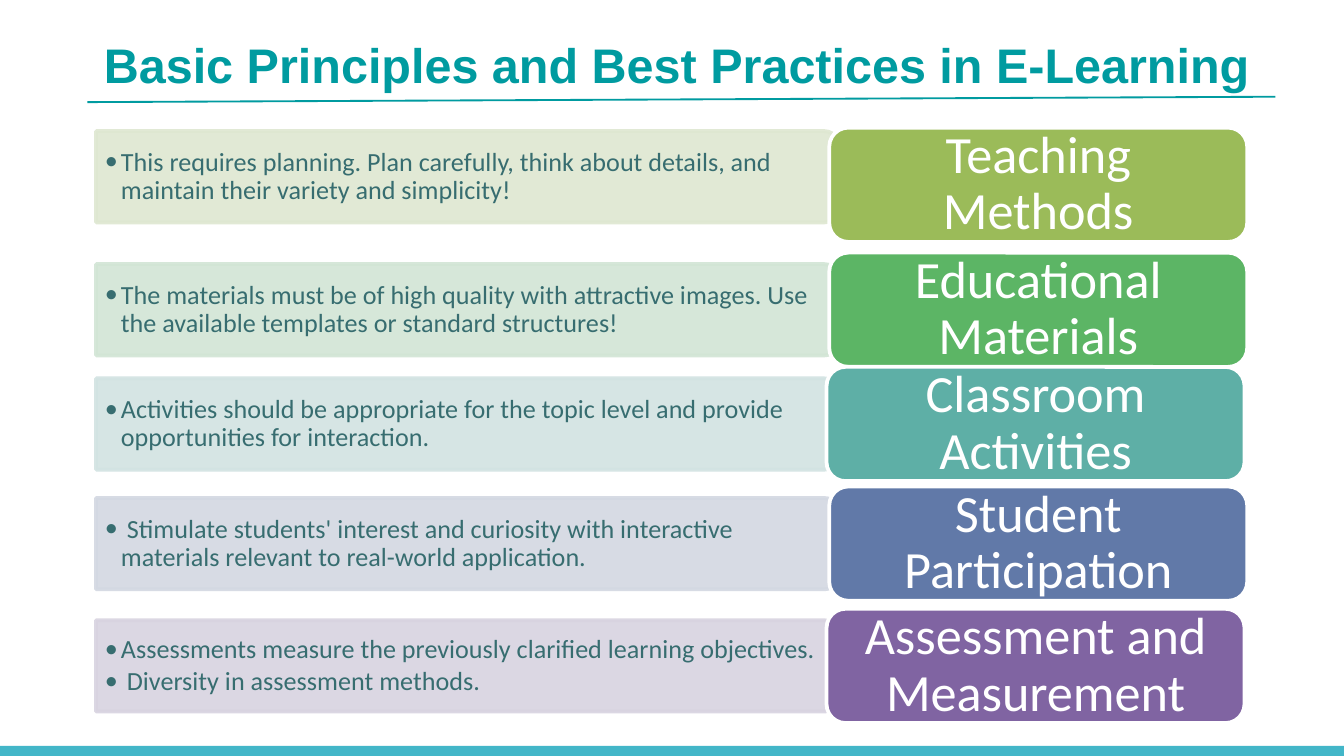
from pptx import Presentation
from pptx.dml.color import RGBColor
from pptx.enum.shapes import MSO_CONNECTOR, MSO_SHAPE
from pptx.enum.text import MSO_ANCHOR, MSO_AUTO_SIZE, PP_ALIGN
from pptx.oxml.ns import qn
from pptx.util import Pt
from lxml.etree import SubElement

PX = 4572  # 200 px to the inch
WIDE, HIGH = 2000, 1125

TEAL = RGBColor(0x00, 0x9B, 0xA0)
AQUA = RGBColor(0x43, 0xB6, 0xC8)
PINE = RGBColor(0x37, 0x6D, 0x70)
WHITE = RGBColor(0xFF, 0xFF, 0xFF)
LIME, PALE_LIME = RGBColor(0x9B, 0xBB, 0x59), RGBColor(0xDE, 0xE7, 0xD1)
GREEN, PALE_GREEN = RGBColor(0x5C, 0xB5, 0x65), RGBColor(0xD2, 0xE5, 0xD5)
SEA, PALE_SEA = RGBColor(0x5E, 0xAF, 0xA6), RGBColor(0xD2, 0xE3, 0xE2)
BLUE, PALE_BLUE = RGBColor(0x61, 0x79, 0xA8), RGBColor(0xD3, 0xD8, 0xE2)
PLUM, PALE_PLUM = RGBColor(0x80, 0x64, 0xA2), RGBColor(0xD8, 0xD3, 0xE0)

TITLE = dict(name="Arial", size=Pt(26), bold=True)
LABEL = dict(name="Calibri", size=Pt(28))
NOTE = dict(name="Calibri", size=Pt(14))

# Label, notes, label colour, bar colour, label left and top, bar drop
ROWS = [
    ("Teaching Methods",
     ["This requires planning. Plan carefully, think about details, and "
      "maintain their variety and simplicity!"],
     LIME, PALE_LIME, 1234, 190, 5),
    ("Educational Materials",
     ["The materials must be of high quality with attractive images. Use "
      "the available templates or standard structures!"],
     GREEN, PALE_GREEN, 1234, 376, 17),
    ("Classroom Activities",
     ["Activities should be appropriate for the topic level and provide "
      "opportunities for interaction."],
     SEA, PALE_SEA, 1230, 546, 17),
    ("Student Participation",
     [" Stimulate students' interest and curiosity with interactive "
      "materials relevant to real-world application."],
     BLUE, PALE_BLUE, 1234, 724, 17),
    ("Assessment and Measurement",
     ["Assessments measure the previously clarified learning objectives.",
      " Diversity in assessment methods."],
     PLUM, PALE_PLUM, 1230, 906, 17),
]


def px(*sizes):
    return [size * PX for size in sizes]


def style(font, look, color):
    for key, value in look.items():
        setattr(font, key, value)
    font.color.rgb = color


def set_frame(frame, side, edge):
    """Wrap and centre the text upright, with the given insets."""
    look = dict(word_wrap=True, auto_size=MSO_AUTO_SIZE.NONE,
                vertical_anchor=MSO_ANCHOR.MIDDLE,
                margin_left=side * PX, margin_right=side * PX,
                margin_top=edge * PX, margin_bottom=edge * PX)
    for key, value in look.items():
        setattr(frame, key, value)


def add_block(slide, kind, box, fill, line=None):
    block = slide.shapes.add_shape(kind, *px(*box))
    block.shadow.inherit = False
    block.fill.solid()
    block.fill.fore_color.rgb = fill
    if line is None:
        block.line.fill.background()
    else:
        block.line.color.rgb = line
        block.line.width = Pt(2)
    return block


def add_head(slide, x, y, w, h):
    head = slide.shapes.title
    head.left, head.top, head.width, head.height = px(x, y, w, h)
    set_frame(head.text_frame, 20, 10)
    para = head.text_frame.paragraphs[0]
    para.text = "Basic Principles and Best Practices in E-Learning"
    para.alignment = PP_ALIGN.RIGHT
    style(para.font, TITLE, TEAL)
    rule = slide.shapes.add_connector(
        MSO_CONNECTOR.STRAIGHT, *px(x + 14, y + 150, x + 1782, y + 142))
    rule.line.color.rgb = TEAL
    rule.line.width = Pt(1)
    SubElement(rule._element.spPr, qn("a:effectLst"))


def add_bar(slide, x, y, w, h, color):
    """Add a see-through bar, turned so its round corners face right."""
    bar = add_block(slide, MSO_SHAPE.ROUND_2_SAME_RECTANGLE,
                    (x + (w - h) // 2, y - (w - h) // 2, h, w), color, color)
    bar.rotation = 90
    for tint in bar._element.spPr.iter(qn("a:srgbClr")):
        SubElement(tint, qn("a:alpha"), val="90000")


def add_notes(slide, x, y, w, h, notes):
    frame = slide.shapes.add_textbox(*px(x, y, w, h)).text_frame
    set_frame(frame, 12, 6)
    for i, note in enumerate(notes):
        para = frame.paragraphs[0] if i == 0 else frame.add_paragraph()
        para.text = note
        props = para._p.get_or_add_pPr()
        props.set("marL", str(24 * PX))
        props.set("indent", str(-24 * PX))
        SubElement(props, qn("a:buFont"), typeface="Calibri")
        SubElement(props, qn("a:buChar"), char="•")
        para.line_spacing = 0.9
        para.space_after = Pt(2)
        style(para.font, NOTE, PINE)


def add_label(slide, x, y, w, h, text, color):
    label = add_block(slide, MSO_SHAPE.ROUNDED_RECTANGLE,
                      (x, y, w, h), color, WHITE)
    set_frame(label.text_frame, 32, 20)
    para = label.text_frame.paragraphs[0]
    para.text = text
    para.alignment = PP_ALIGN.CENTER
    para.line_spacing = 0.9
    style(para.font, LABEL, WHITE)


def add_row(slide, left, row):
    text, notes, color, pale, x, y, drop = row
    add_bar(slide, left, y + drop, 1106, 136, pale)
    add_notes(slide, left + 1, y + drop + 6, 1098, 124, notes)
    add_label(slide, x, y, 622, 170, text, color)


def main():
    deck = Presentation()
    deck.slide_width, deck.slide_height = px(WIDE, HIGH)
    slide = deck.slides.add_slide(deck.slide_layouts[5])
    add_block(slide, MSO_SHAPE.RECTANGLE, (0, 1110, WIDE, 18), AQUA)
    add_head(slide, 116, 2, 1767, 188)
    for row in ROWS:
        add_row(slide, 143, row)
    deck.save("out.pptx")


if __name__ == "__main__":
    main()
